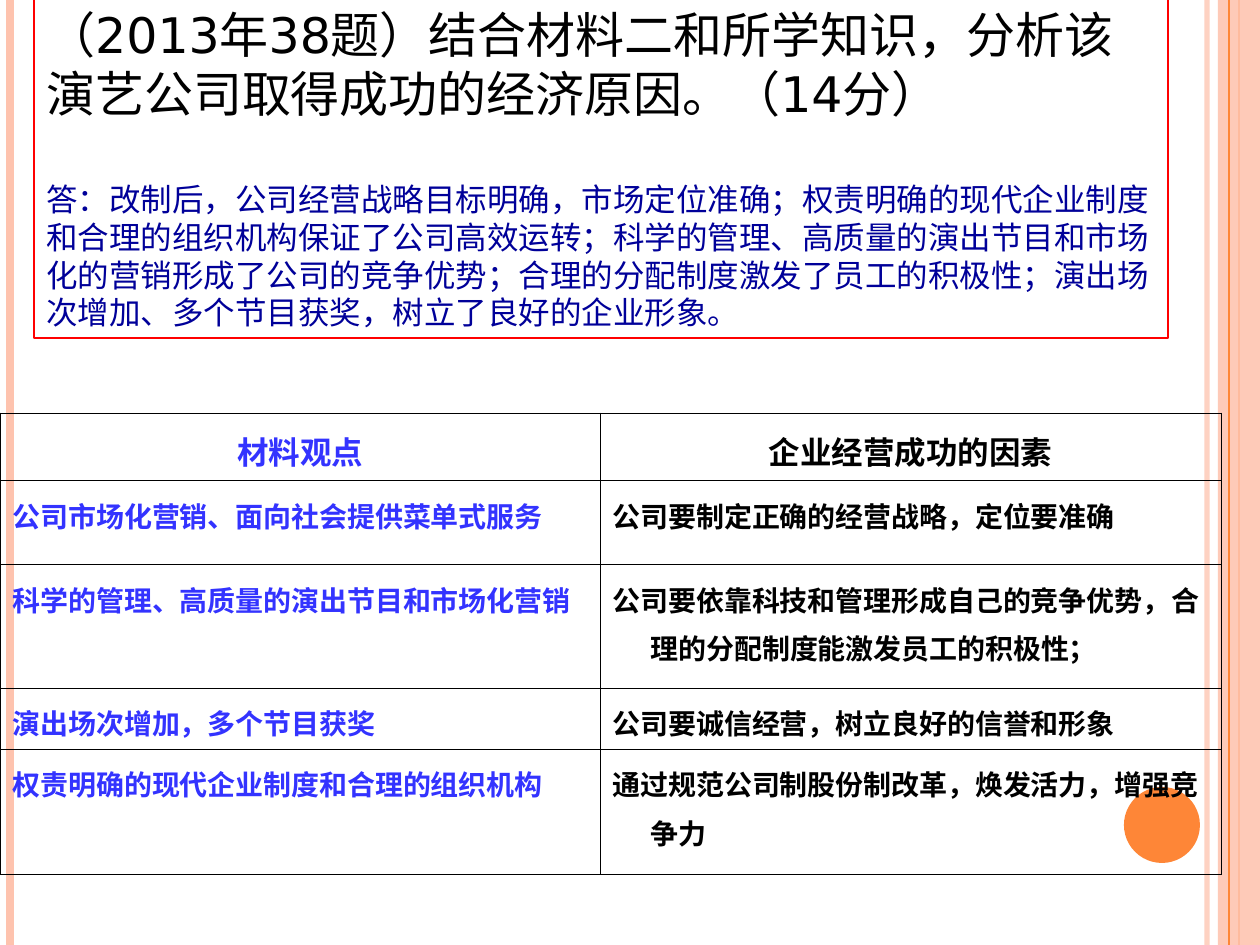
from lxml import etree
from pptx import Presentation
from pptx.dml.color import RGBColor
from pptx.enum.shapes import MSO_CONNECTOR, MSO_SHAPE
from pptx.enum.text import MSO_ANCHOR, MSO_AUTO_SIZE, PP_ALIGN
from pptx.oxml.ns import qn
from pptx.util import Emu, Pt

STRAIGHT = MSO_CONNECTOR.STRAIGHT
RECTANGLE, OVAL = MSO_SHAPE.RECTANGLE, MSO_SHAPE.OVAL
MIDDLE = MSO_ANCHOR.MIDDLE
GROW = MSO_AUTO_SIZE.SHAPE_TO_FIT_TEXT
LEFT, CENTER = PP_ALIGN.LEFT, PP_ALIGN.CENTER

PEACH = RGBColor(0xFE, 0xC3, 0xAE)
ORANGE = RGBColor(0xFE, 0x86, 0x37)
RED = RGBColor(0xFF, 0x00, 0x00)
NAVY = RGBColor(0x00, 0x00, 0x99)
BLUE = RGBColor(0x33, 0x33, 0xFF)
BLACK = RGBColor(0x00, 0x00, 0x00)

PX_PER_INCH = 126
WIDTH, HEIGHT = 1260, 945
HANGING = 38
SERIF = "Times New Roman"

QUESTION = "（2013年38题）结合材料二和所学知识，分析该演艺公司取得成功的经济原因。（14分）"
ANSWER = (
    "答：改制后，公司经营战略目标明确，市场定位准确；权责明确的现代企业制度和合理的组织机构"
    "保证了公司高效运转；科学的管理、高质量的演出节目和市场化的营销形成了公司的竞争优势；"
    "合理的分配制度激发了员工的积极性；演出场次增加、多个节目获奖，树立了良好的企业形象。"
)
COLUMN_WIDTHS = [600, 621]
ROW_HEIGHTS = [58, 84, 124, 53, 125]
FACTORS = [
    (["材料观点"], ["企业经营成功的因素"]),
    (["公司市场化营销、面向社会提供菜单式服务"], ["公司要制定正确的经营战略，定位要准确"]),
    (["科学的管理、高质量的演出节目和市场化营销"],
     ["公司要依靠科技和管理形成自己的竞争优势，", "合理的分配制度能激发员工的积极性；"]),
    (["演出场次增加，多个节目获奖"], ["公司要诚信经营，树立良好的信誉和形象"]),
    (["权责明确的现代企业制度和合理的组织机构"],
     ["通过规范公司制股份制改革，焕发活力，增强竞争力"]),
]


def px(length):
    """Turn px into EMU."""
    return Emu(round(length * 914400 / PX_PER_INCH))


def set_alpha(element, percent):
    """Make the solid colour inside an element partly transparent."""
    colour = next(element.iter(qn("a:srgbClr")))
    etree.SubElement(colour, qn("a:alpha"), val=str(percent * 1000))


def add_stripe(slide, x, colour, weight, opacity=100):
    """Draw a full-height vertical line."""
    stripe = slide.shapes.add_connector(STRAIGHT, px(x), 0, px(x), px(HEIGHT))
    stripe.line.color.rgb = colour
    stripe.line.width = Pt(weight)
    properties = stripe._element.spPr
    etree.SubElement(properties, qn("a:effectLst"))
    if opacity < 100:
        set_alpha(properties, opacity)


def add_block(slide, kind, box, colour, opacity=100):
    """Draw a filled shape without outline."""
    block = slide.shapes.add_shape(kind, *map(px, box))
    block.shadow.inherit = False
    block.fill.solid()
    block.fill.fore_color.rgb = colour
    block.line.fill.background()
    if opacity < 100:
        set_alpha(block._element.spPr, opacity)


def add_run(paragraph, text, colour, **formats):
    """Add a run with the given font values."""
    run = paragraph.add_run()
    run.text = text
    run.font.color.rgb = colour
    for attribute, value in formats.items():
        setattr(run.font, attribute, value)


def add_question(slide):
    """Add the framed question and its answer."""
    frame = slide.shapes.add_textbox(*map(px, (34, -2, 1134, 340)))
    frame.line.color.rgb = RED
    frame.line.width = Pt(0.75)
    text = frame.text_frame
    text.word_wrap = True
    text.auto_size = GROW
    text.vertical_anchor = MIDDLE
    add_run(text.paragraphs[0], QUESTION, BLACK, size=Pt(28), name="DejaVu Sans")
    answer = text.add_paragraph()
    answer.space_before = Pt(33)
    add_run(answer, ANSWER, NAVY, size=Pt(18), name="Arial")


def add_borders(cell):
    """Give a cell thin black borders and no fill."""
    properties = cell._tc.get_or_add_tcPr()
    for side in ("lnL", "lnR", "lnT", "lnB"):
        border = etree.SubElement(properties, qn(f"a:{side}"), w=str(Pt(0.45)))
        fill = etree.SubElement(border, qn("a:solidFill"))
        etree.SubElement(fill, qn("a:srgbClr"), val=str(BLACK))
    cell.fill.background()


def fill_cell(cell, texts, colour, is_header):
    """Write bold text with a hanging indent into a cell."""
    add_borders(cell)
    paragraph = cell.text_frame.paragraphs[0]
    paragraph.alignment = CENTER if is_header else LEFT
    paragraph.line_spacing = 1.2
    indents = paragraph._p.get_or_add_pPr()
    indents.set("marL", str(px(HANGING)))
    indents.set("indent", str(px(-HANGING)))
    size = Pt(18 if is_header else 16)
    for text, font in zip(texts, (SERIF, "TeX Gyre Schola")):
        add_run(paragraph, text, colour, size=size, name=font, bold=True)


def add_factors(slide):
    """Add the table of viewpoints and success factors."""
    box = (0, 413, sum(COLUMN_WIDTHS), sum(ROW_HEIGHTS))
    table = slide.shapes.add_table(
        len(ROW_HEIGHTS), len(COLUMN_WIDTHS), *map(px, box)).table
    table.first_row = table.horz_banding = False
    for column, width in zip(table.columns, COLUMN_WIDTHS):
        column.width = px(width)
    for index, (row, height) in enumerate(zip(table.rows, ROW_HEIGHTS)):
        row.height = px(height)
        for cell, texts, colour in zip(row.cells, FACTORS[index], (BLUE, BLACK)):
            fill_cell(cell, texts, colour, index == 0)


def main():
    """Build and save the slide."""
    deck = Presentation()
    deck.slide_width, deck.slide_height = px(WIDTH), px(HEIGHT)
    slide = deck.slides.add_slide(deck.slide_layouts[6])
    add_stripe(slide, 1207, PEACH, 3, 75)
    add_stripe(slide, 10, PEACH, 4.5)
    add_stripe(slide, 1239, ORANGE, 1.5)
    add_block(slide, RECTANGLE, (1218, 0, 42, HEIGHT), PEACH, 87)
    add_stripe(slide, 1229, ORANGE, 0.75)
    add_block(slide, OVAL, (1124, 787, 76, 76), ORANGE)
    add_factors(slide)
    add_question(slide)
    deck.save("out.pptx")


if __name__ == "__main__":
    main()
